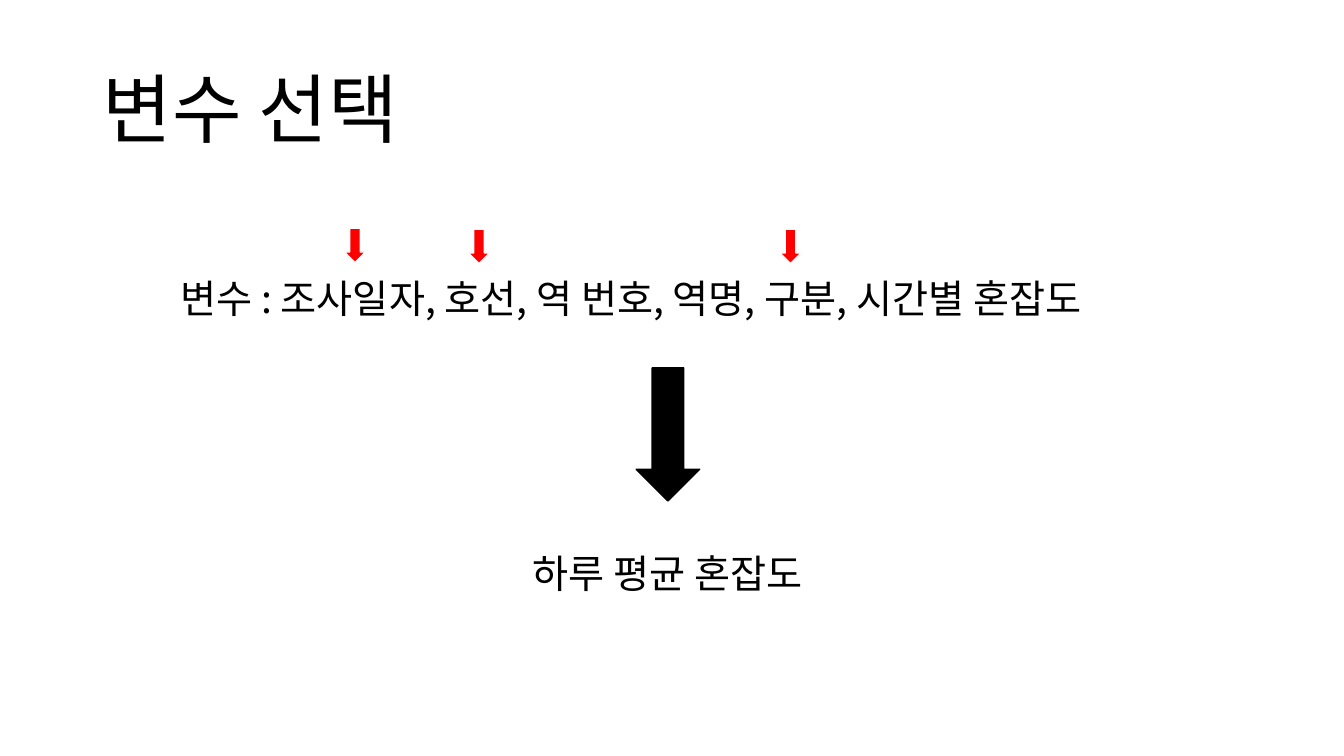
from dataclasses import dataclass

from lxml.etree import SubElement
from pptx import Presentation
from pptx.dml.color import RGBColor
from pptx.enum.shapes import MSO_SHAPE
from pptx.enum.text import MSO_ANCHOR, MSO_AUTO_SIZE, PP_ALIGN
from pptx.oxml.ns import qn
from pptx.util import Inches, Pt


@dataclass(frozen=True)
class Theme:
    font: str = "Noto Sans CJK KR"
    title_size: int = 54
    body_size: int = 28
    ink: RGBColor = RGBColor(0x00, 0x00, 0x00)
    marker: RGBColor = RGBColor(0xFF, 0x00, 0x00)
    paper: RGBColor = RGBColor(0xFF, 0xFF, 0xFF)


class SlideBuilder:
    """Adds consistently styled elements to one slide."""

    def __init__(self, slide, theme):
        self.slide = slide
        self.theme = theme

    def set_text(self, shape, box, text, size, align, space_before=0, anchor=MSO_ANCHOR.TOP):
        shape.left, shape.top, shape.width, shape.height = map(Inches, box)
        frame = shape.text_frame
        frame.text = text
        frame.word_wrap = True
        frame.auto_size = MSO_AUTO_SIZE.NONE
        frame.vertical_anchor = anchor
        paragraph = frame.paragraphs[0]
        paragraph.alignment = align
        paragraph.line_spacing = 0.9
        paragraph.space_before = Pt(space_before)
        font = paragraph.runs[0].font
        font.name = self.theme.font
        font.size = Pt(size)
        font.color.rgb = self.theme.ink
        east_asian = SubElement(font._element, qn("a:ea"))
        east_asian.set("typeface", self.theme.font)
        return paragraph

    def title(self, box, text):
        self.set_text(self.slide.shapes.title, box, text, self.theme.title_size,
                      PP_ALIGN.LEFT, anchor=MSO_ANCHOR.MIDDLE)

    def body(self, box, text):
        paragraph = self.set_text(self.slide.placeholders[1], box, text,
                                  self.theme.body_size, PP_ALIGN.LEFT, 10)
        properties = paragraph._p.get_or_add_pPr()
        properties.set("marL", "0")
        properties.set("indent", "0")
        SubElement(properties, qn("a:buNone"))

    def caption(self, box, text):
        shape = self.slide.shapes.add_textbox(*map(Inches, box))
        self.set_text(shape, box, text, self.theme.body_size, PP_ALIGN.CENTER, 10)

    def arrow(self, kind, box, fill, line, rotation=0):
        shape = self.slide.shapes.add_shape(kind, *map(Inches, box))
        shape.shadow.inherit = False
        shape.rotation = rotation
        shape.fill.solid()
        shape.fill.fore_color.rgb = fill
        shape.line.color.rgb = line
        shape.line.width = Pt(1)


def main():
    presentation = Presentation()
    presentation.slide_width = Inches(13.33)
    presentation.slide_height = Inches(7.5)
    slide = presentation.slides.add_slide(presentation.slide_layouts[1])
    theme = Theme()
    builder = SlideBuilder(slide, theme)

    builder.title((0.92, 0.4, 11.5, 1.45), "변수 선택")
    builder.body((1.69, 2.72, 11.02, 0.64),
                 "변수 : 조사일자, 호선, 역 번호, 역명, 구분, 시간별 혼잡도")
    builder.arrow(MSO_SHAPE.DOWN_ARROW, (6.31, 3.65, 0.63, 1.32), theme.ink, theme.ink)
    builder.caption((5.12, 5.45, 3, 0.64), "하루 평균 혼잡도")
    for left, top in ((3.35, 2.33), (4.58, 2.34), (7.67, 2.34)):
        builder.arrow(MSO_SHAPE.RIGHT_ARROW, (left, top, 0.34, 0.21),
                      theme.marker, theme.paper, rotation=90)

    presentation.save("out.pptx")


if __name__ == "__main__":
    main()
